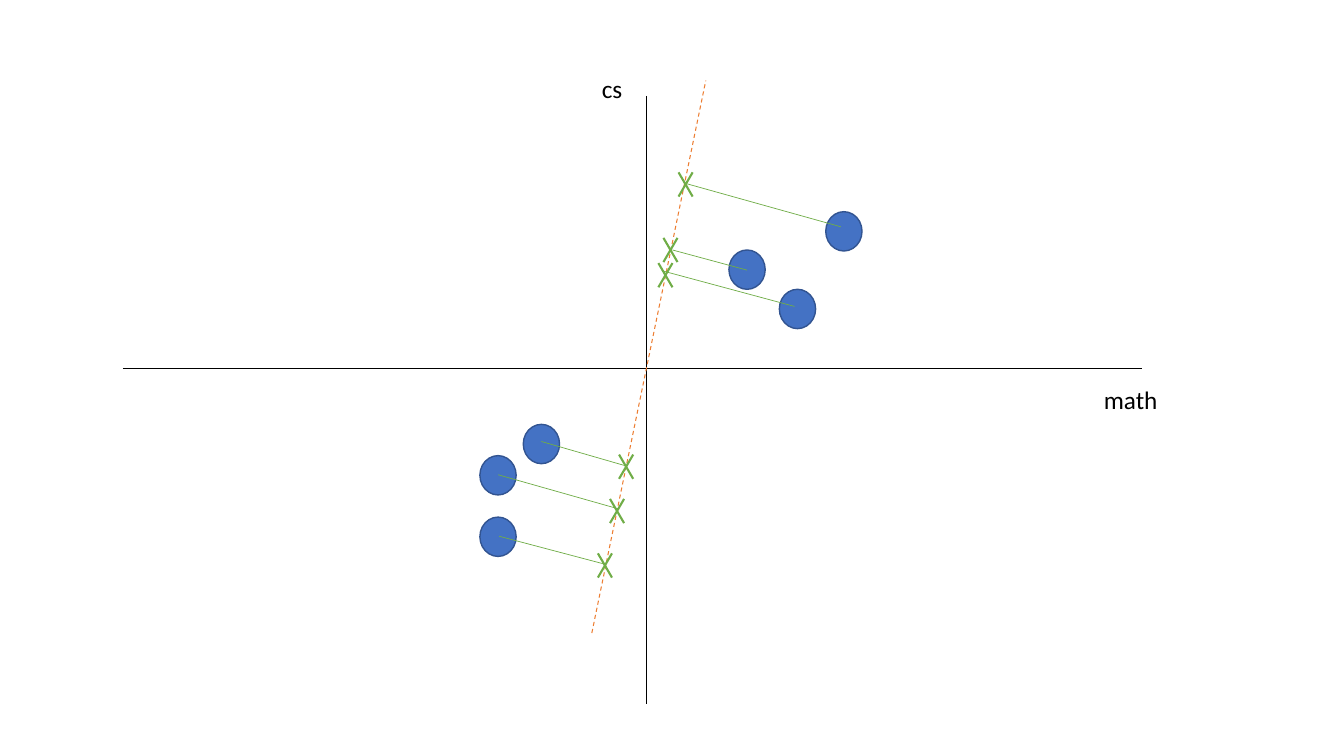
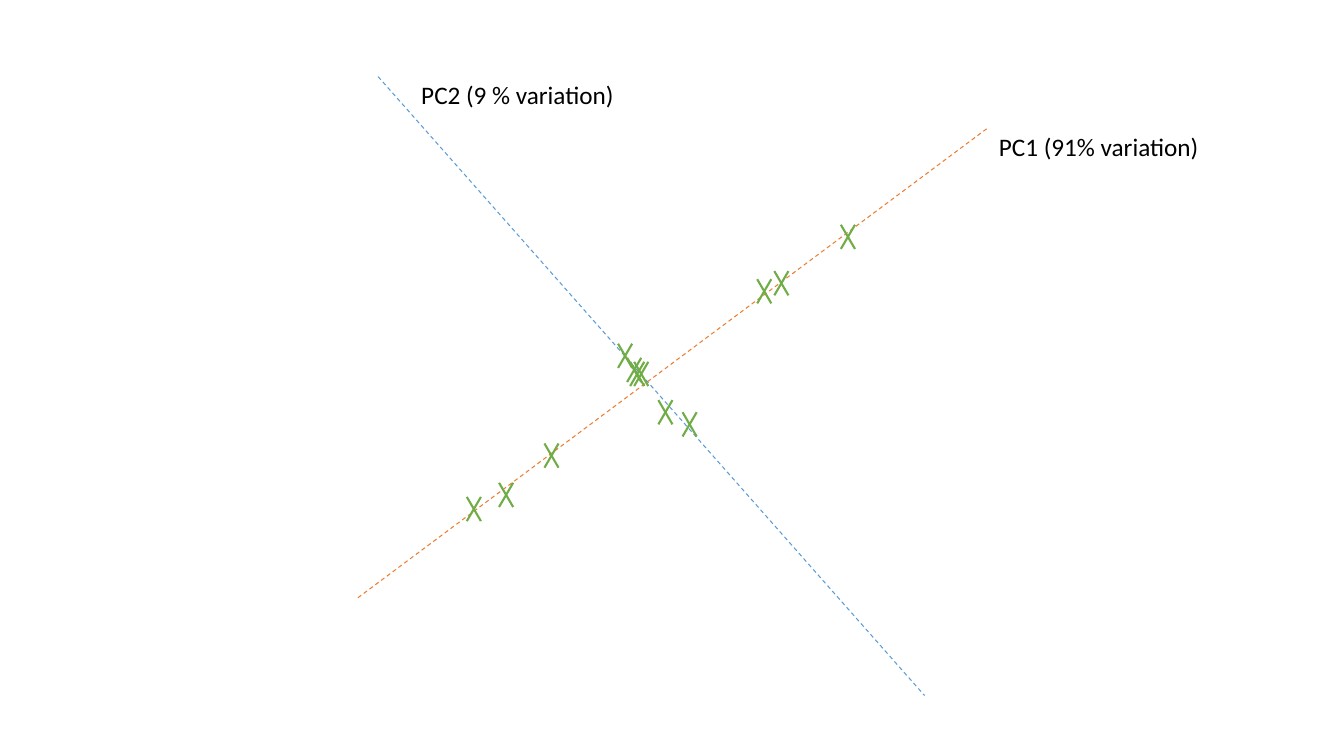
from lxml import etree
from pptx import Presentation
from pptx.dml.color import RGBColor
from pptx.enum.dml import MSO_LINE
from pptx.enum.shapes import MSO_CONNECTOR, MSO_SHAPE
from pptx.enum.text import MSO_AUTO_SIZE
from pptx.oxml.ns import qn
from pptx.util import Inches, Pt

BLACK, BLUE, NAVY = "000000", "4472C4", "325491"
ORANGE, SKY, GREEN = "ED7D31", "5B9BD5", "70AD47"
DOT_W, DOT_H = 0.36, 0.39
MARK_W, MARK_H = 0.14, 0.24
LABEL_H = 0.4

AXIS = {"width": Pt(0.5)}
COMPONENT = {"width": Pt(0.75), "dash_style": MSO_LINE.DASH}
PROJECTION = {"width": Pt(0.5)}
MARK = {"width": Pt(1.5)}
OUTLINE = {"width": Pt(1)}
LABEL_FRAME = {"word_wrap": False, "auto_size": MSO_AUTO_SIZE.SHAPE_TO_FIT_TEXT}
LABEL_FONT = {"name": "Calibri", "size": Pt(18)}


def rgb(value):
    """Turn a hex string into a colour."""
    return RGBColor.from_string(value)


def apply(target, formats):
    """Set each format value on the target."""
    for name, value in formats.items():
        setattr(target, name, value)


def add_line(shapes, box, start, end, color, formats):
    """Draw a straight line between two points of the box."""
    left, top = box
    sp = shapes.add_connector(
        MSO_CONNECTOR.STRAIGHT,
        Inches(left + start[0]), Inches(top + start[1]),
        Inches(left + end[0]), Inches(top + end[1]))
    sp.line.color.rgb = rgb(color)
    apply(sp.line, formats)
    etree.SubElement(sp._element.spPr, qn("a:effectLst"))


def add_mark(s, box, x, y):
    """Draw a green cross as a group of two diagonals."""
    group = s.shapes.add_group_shape()
    right, bottom = x + MARK_W, y + MARK_H
    add_line(group.shapes, box, (x, y), (right, bottom), GREEN, MARK)
    add_line(group.shapes, box, (x, bottom), (right, y), GREEN, MARK)


def add_dot(s, box, x, y):
    """Draw one data point."""
    sp = s.shapes.add_shape(
        MSO_SHAPE.OVAL, Inches(box[0] + x), Inches(box[1] + y),
        Inches(DOT_W), Inches(DOT_H))
    sp.shadow.inherit = False
    sp.fill.solid()
    sp.fill.fore_color.rgb = rgb(BLUE)
    sp.line.color.rgb = rgb(NAVY)
    apply(sp.line, OUTLINE)


def add_label(s, box, x, y, width, text):
    """Write the name of an axis."""
    sp = s.shapes.add_textbox(
        Inches(box[0] + x), Inches(box[1] + y), Inches(width), Inches(LABEL_H))
    tf = sp.text_frame
    apply(tf, LABEL_FRAME)
    r = tf.paragraphs[0].add_run()
    r.text = text
    r.font.color.rgb = rgb(BLACK)
    apply(r.font, LABEL_FONT)


def projection_plot(s, box):
    """Project the data points onto the fitted line."""
    points = [
        ((6.97, 1.42), (7.12, 1.57), (5.58, 1.14), (5.51, 1.03)),
        ((6.01, 1.8), (6.19, 2), (5.45, 1.8), (5.36, 1.68)),
        ((6.51, 2.19), (6.66, 2.36), (5.36, 2.01), (5.31, 1.93)),
        ((3.97, 3.53), (4.15, 3.7), (4.98, 3.94), (4.92, 3.83)),
        ((3.54, 3.84), (3.72, 4.03), (4.92, 4.37), (4.83, 4.27)),
        ((3.54, 4.45), (3.73, 4.64), (4.79, 4.92), (4.71, 4.81)),
    ]
    for dot, *_ in points:
        add_dot(s, box, *dot)
    add_label(s, box, 4.65, 0, 0.41, "cs")
    add_label(s, box, 9.63, 3.08, 0.74, "math")
    add_line(s.shapes, box, (0, 2.97), (10.11, 2.97), BLACK, AXIS)
    add_line(s.shapes, box, (5.19, 0.27), (5.19, 6.3), BLACK, AXIS)
    add_line(s.shapes, box, (4.65, 5.6), (5.78, 0.12), ORANGE, COMPONENT)
    for _, start, end, _ in points:
        add_line(s.shapes, box, start, end, GREEN, PROJECTION)
    for *_, mark in points:
        add_mark(s, box, *mark)


def component_plot(s, box):
    """Show the projected points on both principal components."""
    add_line(s.shapes, box, (0, 5.19), (6.26, 0.52), ORANGE, COMPONENT)
    add_label(s, box, 6.26, 0.51, 2.2, "PC1 (91% variation)")
    add_line(s.shapes, box, (0.2, 0.02), (5.62, 6.16), SKY, COMPONENT)
    add_label(s, box, 0.53, 0, 2.13, "PC2 (9 % variation)")
    pc1_marks = [(1.08, 4.19), (1.4, 4.05), (1.85, 3.66),
                 (3.96, 2.03), (4.13, 1.95), (4.79, 1.49)]
    pc2_marks = [(2.58, 2.67), (2.98, 3.23), (2.67, 2.81),
                 (2.74, 2.85), (3.22, 3.35), (2.7, 2.85)]
    for mark in pc1_marks + pc2_marks:
        add_mark(s, box, *mark)


def main():
    """Build both slides and save them."""
    prs = Presentation()
    prs.slide_width, prs.slide_height = Inches(13.33), Inches(7.5)
    for plot, box in ((projection_plot, (1.22, 0.68)),
                      (component_plot, (3.55, 0.74))):
        plot(prs.slides.add_slide(prs.slide_layouts[6]), box)
    prs.save("out.pptx")


main()
